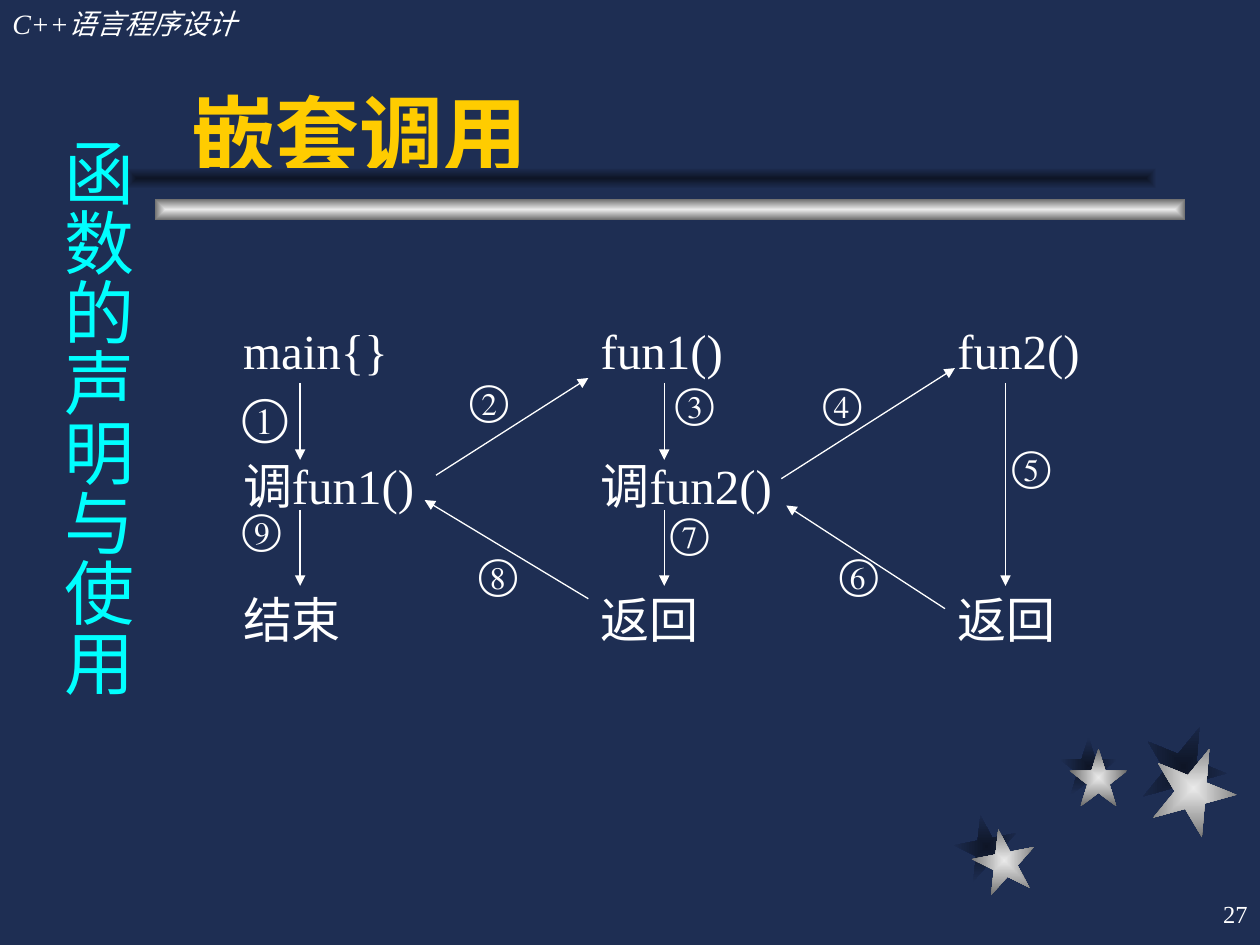
from lxml.etree import SubElement
from pptx import Presentation
from pptx.dml.color import RGBColor
from pptx.enum.shapes import MSO_CONNECTOR as Link, MSO_SHAPE as Preset
from pptx.enum.text import MSO_ANCHOR as Anchor, MSO_AUTO_SIZE as Fit, PP_ALIGN as Align
from pptx.oxml.ns import qn
from pptx.util import Cm, Pt

COLORS = {
    "navy": "1E2E53", "shade": "0E1526", "silver": "EAEAEA", "gray": "6C6C6C",
    "white": "FFFFFF", "gold": "FFCC00", "cyan": "00FFFF",
}
SHADOW = ("shade", "navy")
METAL = ("silver", "gray")
SERIF = "Times New Roman"

STARS = [
    (19.25, 16.43, 1.27, -11, 0.36, 0.28),
    (21.36, 14.86, 1.17, 0, 0.2, 0.23),
    (23.01, 14.61, 1.7, 22, 0.2, 0.43),
]
CALL_COLUMNS = [
    (4.65, [("main{}", 0), ("调fun1()", 1), ("结束", 1)]),
    (11.86, [("fun1()", 0), ("调fun2()", 1), ("返回", 1)]),
    (19.05, [("fun2()", 0), ("返回", 3)]),
]
BLANK_LINE = 38.5
ENTER, CALL, RESUME, FINISH = 7.72, 9.27, 10.29, 11.81
FLOWS = [
    (6.05, ENTER, 6.05, CALL), (6.05, RESUME, 6.05, FINISH),
    (8.79, 9.58, 11.86, 7.62), (11.86, 12.07, 8.56, 10.08),
    (13.39, ENTER, 13.39, CALL), (13.39, RESUME, 13.39, FINISH),
    (15.75, 9.65, 19.25, 7.42), (20.27, ENTER, 20.27, FINISH),
    (19.05, 12.27, 15.85, 10.19),
]
STEPS = [
    ("②", 9.47, 7.65), ("③", 13.61, 7.72), ("⑦", 13.51, 10.34),
    ("④", 16.59, 7.72), ("⑤", 20.4, 8.99), ("⑥", 16.92, 11.15),
    ("⑧", 9.65, 11.15), ("⑨", 4.88, 10.26),
]


def rgb(name):
    """Return the named palette colour."""
    return RGBColor.from_string(COLORS[name])


def write(paragraph, wording, size, color="white", font=SERIF, bold=False, italic=False):
    """Add one formatted run to a paragraph."""
    run = paragraph.add_run()
    run.text = wording
    run.font.size, run.font.name = Pt(size), font
    run.font.bold, run.font.italic = bold, italic
    run.font.color.rgb = rgb(color)


def add_frame(slide, left, top, width, height, inset=True):
    """Add a wrapping text box and return its text frame."""
    frame = slide.shapes.add_textbox(Cm(left), Cm(top), Cm(width), Cm(height)).text_frame
    frame.word_wrap = True
    if not inset:
        frame.margin_left = frame.margin_right = frame.margin_top = frame.margin_bottom = 0
    return frame


def add_ornament(slide, preset, left, top, width, height, tones, rotation=0):
    """Add a borderless shape shaded from its centre outwards."""
    ornament = slide.shapes.add_shape(preset, Cm(left), Cm(top), Cm(width), Cm(height))
    ornament.shadow.inherit = False
    ornament.rotation = rotation
    ornament.line.fill.background()
    ornament.fill.gradient()
    for stop, tone, position in zip(ornament.fill.gradient_stops, tones, (0, 1)):
        stop.color.rgb, stop.position = rgb(tone), position
    gradient = ornament._element.spPr.find(qn("a:gradFill"))
    gradient.remove(gradient.find(qn("a:lin")))
    center = SubElement(gradient, qn("a:path"), path="rect")
    SubElement(center, qn("a:fillToRect"), l="50000", t="50000", r="50000", b="50000")


def add_decor(slide):
    """Add the stars and the title rule, each with its shadow."""
    for left, top, size, turn, _, _ in STARS:
        add_ornament(slide, Preset.STAR_5_POINT, left, top, size, size, SHADOW, turn)
    for left, top, size, turn, dx, dy in STARS:
        add_ornament(slide, Preset.STAR_5_POINT, left + dx, top + dy, size, size, METAL, turn)
    add_ornament(slide, Preset.RECTANGLE, 3.12, 4.01, 20.78, 0.43, METAL)
    add_ornament(slide, Preset.RECTANGLE, 2.54, 3.38, 20.78, 0.43, SHADOW)


def add_header(slide):
    """Add the course name and the page number."""
    course = add_frame(slide, 0, 0, 7.82, 0.94)
    course.auto_size = Fit.SHAPE_TO_FIT_TEXT
    course.paragraphs[0].space_before = Pt(10)
    write(course.paragraphs[0], "C++语言程序设计", 16, italic=True)
    page = add_frame(slide, 20.12, 17.78, 5.28, 1.27)
    page.vertical_anchor = Anchor.MIDDLE
    page.paragraphs[0].alignment = Align.RIGHT
    write(page.paragraphs[0], "27", 14)


def add_title(slide):
    """Place and fill the title placeholder."""
    title = slide.shapes.title
    title.left, title.top, title.width, title.height = Cm(3.61), Cm(0.64), Cm(19.89), Cm(3.18)
    frame = title.text_frame
    frame.auto_size, frame.vertical_anchor = Fit.NONE, Anchor.BOTTOM
    frame.paragraphs[0].alignment = Align.LEFT
    write(frame.paragraphs[0], "嵌套调用", 48, "gold", "Arial", bold=True)


def add_chapter(slide):
    """Add the vertical chapter name."""
    chapter = add_frame(slide, 0.76, 2.54, 2.18, 13.77)
    chapter.margin_left = chapter.margin_right = Cm(0.13)
    chapter.margin_top = chapter.margin_bottom = Cm(0.25)
    chapter._txBody.bodyPr.set("vert", "eaVert")
    chapter.paragraphs[0].alignment = Align.CENTER
    write(chapter.paragraphs[0], "函数的声明与使用", 40, "cyan")


def add_call_column(slide, left, stages):
    """Add the stages of one function, spaced by line gaps."""
    column = add_frame(slide, left, 6.15, 4.65, 7.19)
    for index, (stage, gap) in enumerate(stages):
        paragraph = column.add_paragraph() if index else column.paragraphs[0]
        paragraph.alignment, paragraph.line_spacing = Align.JUSTIFY, 1.15
        paragraph.space_before = Pt(gap * BLANK_LINE)
        write(paragraph, stage, 28)


def add_flow(slide, *ends):
    """Add a thin arrow between two points."""
    flow = slide.shapes.add_connector(Link.STRAIGHT, *map(Cm, ends))
    flow.line.color.rgb, flow.line.width = rgb("white"), Pt(0.75)
    properties = flow._element.spPr
    SubElement(properties.find(qn("a:ln")), qn("a:tailEnd"), type="triangle")
    SubElement(properties, qn("a:effectLst"))


def add_step(slide, number, left, top, width=0.84, height=1.02, size=23.8, spacing=0.9):
    """Add a circled step number."""
    step = add_frame(slide, left, top, width, height, inset=False).paragraphs[0]
    step.alignment, step.line_spacing = Align.JUSTIFY, spacing
    write(step, number, size)


def main():
    """Build and save the slide."""
    deck = Presentation()
    deck.slide_width, deck.slide_height = Cm(25.4), Cm(19.05)
    slide = deck.slides.add_slide(deck.slide_layouts[5])
    slide.background.fill.solid()
    slide.background.fill.fore_color.rgb = rgb("navy")
    add_decor(slide)
    add_header(slide)
    add_title(slide)
    add_chapter(slide)
    for left, stages in CALL_COLUMNS:
        add_call_column(slide, left, stages)
    for ends in FLOWS:
        add_flow(slide, *ends)
    add_step(slide, "①", 4.88, 7.77, 0.89, 1.22, 28, 1.0)
    for number, left, top in STEPS:
        add_step(slide, number, left, top)
    deck.save("out.pptx")


if __name__ == "__main__":
    main()
